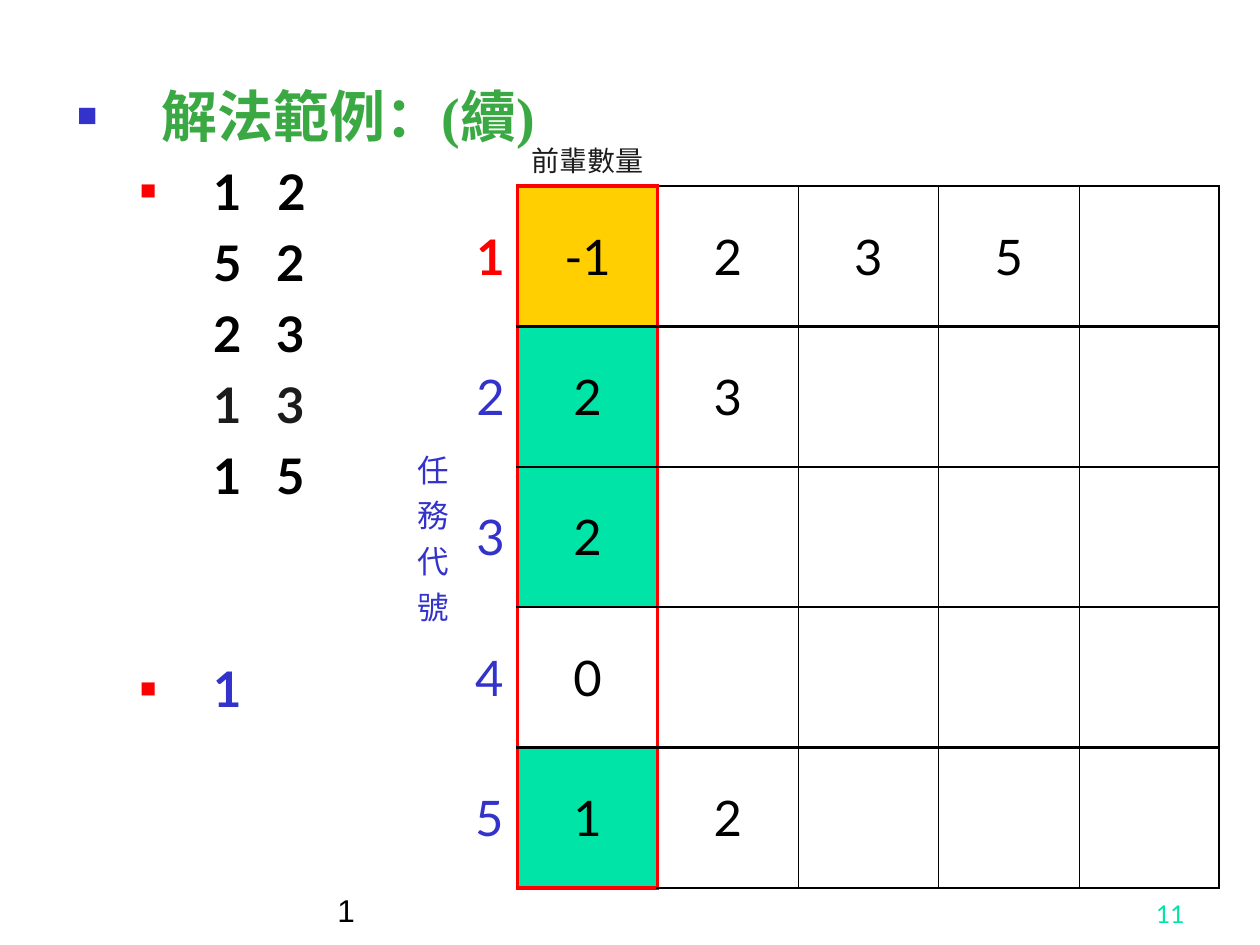
from lxml.etree import SubElement
from pptx import Presentation
from pptx.dml.color import RGBColor
from pptx.enum.text import MSO_ANCHOR, MSO_AUTO_SIZE, PP_ALIGN
from pptx.oxml.ns import qn
from pptx.util import Cm, Pt

BLACK = RGBColor(0x00, 0x00, 0x00)
DARK = RGBColor(0x1C, 0x1C, 0x1C)
BLUE = RGBColor(0x33, 0x33, 0xCC)
RED = RGBColor(0xFF, 0x00, 0x00)
GREEN = RGBColor(0x3B, 0xA9, 0x43)
MINT = RGBColor(0x00, 0xE4, 0xA8)
GOLD = RGBColor(0xFF, 0xCF, 0x01)

PLAIN = "{2D5ABB26-0587-4C30-8999-92F81FD0307C}"  # table style without grid
SIDE = 2.83
ROWS, COLS = 6, 7
PAIRS = ["1\t2", "5\t2", "2\t3", "1\t3", "1\t5"]
TASKS = [["-1", "2", "3", "5"], ["2", "3"], ["2"], ["0"], ["1", "2"]]
FILLS = [GOLD, MINT, MINT, None, MINT]


def style(para, size, color, face="Lato", bold=False):
    font = para.font
    font.name, font.size, font.bold = face, Pt(size), bold
    font.color.rgb = color


def indent(para, left, hang, bullet=None, size=0, tab=None):
    """Set the indents in cm, a square bullet of the given colour, and a tab stop."""
    props = para._p.get_or_add_pPr()
    props.set("marL", str(Cm(left)))
    props.set("indent", str(Cm(-hang if bullet else 0)))
    if bullet:
        color = SubElement(props, qn("a:buClr"))
        SubElement(color, qn("a:srgbClr"), val=str(bullet))
        SubElement(props, qn("a:buSzPct"), val=str(size * 1000))
        SubElement(props, qn("a:buChar"), char="■")
    else:
        SubElement(props, qn("a:buNone"))
    if tab:
        stops = SubElement(props, qn("a:tabLst"))
        SubElement(stops, qn("a:tab"), pos=str(Cm(tab)), algn="l")


def add_list(slide):
    body = slide.placeholders[1]
    body.left, body.top, body.width, body.height = Cm(1.3), Cm(1.52), Cm(22.81), Cm(16.21)
    frame = body.text_frame
    frame.auto_size = MSO_AUTO_SIZE.NONE
    head = frame.paragraphs[0]
    head.text = "解法範例：(續)"
    indent(head, 1.7, 1.7, BLUE, 60)
    head.space_before = Pt(0)
    style(head, 32, GREEN, "Times New Roman", True)

    for i, text in enumerate(PAIRS + ["1"]):
        last = i == len(PAIRS)
        para = frame.add_paragraph()
        para.text, para.level = text, 1
        indent(para, 2.74, 1.47, RED if i == 0 or last else None, 55, 4.04)
        para.space_before = Pt(88 if last else 7)
        style(para, 28, BLUE if last else DARK if i == 3 else BLACK, bold=True)


def write(cell, text, size, color, align=PP_ALIGN.CENTER, bold=False):
    para = cell.text_frame.paragraphs[0]
    para.text, para.alignment = text, align
    style(para, size, color, bold=bold)


def edge(cell, side, color, width):
    line = SubElement(cell._tc.get_or_add_tcPr(), qn("a:ln" + side), w=str(Pt(width)))
    fill = SubElement(line, qn("a:solidFill"))
    SubElement(fill, qn("a:srgbClr"), val=str(color))


def rule_across(row, col):
    """Give colour and width of the level line above the row."""
    if row in (1, ROWS):
        return (RED, 2.21) if col == 2 else (BLACK, 1.08)
    return BLACK, 1.47


def rule_down(col):
    """Give colour and width of the upright line left of the column."""
    if col in (2, 3):
        return RED, 2.21
    return BLACK, 1.08 if col == COLS else 0.45


def frame_cell(cell, row, col):
    if row > 0 and col > 0:
        if col > 1:
            edge(cell, "L", *rule_down(col))
        edge(cell, "R", *rule_down(col + 1))
    if col > 1:
        if row > 0:
            edge(cell, "T", *rule_across(row, col))
        edge(cell, "B", *rule_across(row + 1, col))


def add_grid(slide):
    shape = slide.shapes.add_table(ROWS, COLS, Cm(8.1), Cm(0.92), Cm(16.48), Cm(ROWS * SIDE))
    table = shape.table
    table.first_row = table.horz_banding = False
    table._tbl.tblPr.find(qn("a:tableStyleId")).text = PLAIN
    for col, width in enumerate([1.2, 1.13] + [SIDE] * 5):
        table.columns[col].width = Cm(width)
    for row in range(ROWS):
        table.rows[row].height = Cm(SIDE)
        for col in range(COLS):
            cell = table.cell(row, col)
            frame_cell(cell, row, col)
            cell.vertical_anchor = MSO_ANCHOR.MIDDLE if row else MSO_ANCHOR.BOTTOM
            cell.fill.background()
    table.cell(0, 4).merge(table.cell(0, 6))
    table.cell(1, 0).merge(table.cell(5, 0))

    write(table.cell(0, 2), "前輩數量", 16, DARK)
    write(table.cell(1, 0), "任務代號", 18, BLUE, PP_ALIGN.RIGHT)
    for row, (items, color) in enumerate(zip(TASKS, FILLS), 1):
        first = row == 1
        align = PP_ALIGN.RIGHT if row < 4 else PP_ALIGN.CENTER
        write(table.cell(row, 1), str(row), 28, RED if first else BLUE, align, first)
        for col, text in enumerate(items, 2):
            write(table.cell(row, col), text, 28, BLACK)
        if color:
            fill = table.cell(row, 2).fill
            fill.solid()
            fill.fore_color.rgb = color


def add_note(slide, text, left, width, size, color, face, align):
    box = slide.shapes.add_textbox(Cm(left), Cm(17.58), Cm(width), Cm(1.27))
    frame = box.text_frame
    frame.word_wrap = True
    frame.vertical_anchor = MSO_ANCHOR.BOTTOM
    para = frame.paragraphs[0]
    para.text, para.alignment = text, align
    style(para, size, color, face)


def main():
    deck = Presentation()
    deck.slide_width, deck.slide_height = Cm(25.4), Cm(19.05)
    slide = deck.slides.add_slide(deck.slide_layouts[1])
    title = slide.shapes.title._element
    title.getparent().remove(title)
    add_list(slide)
    add_grid(slide)
    add_note(slide, "1", 6.55, 13.77, 18, BLACK, "Arial", PP_ALIGN.LEFT)
    add_note(slide, "11", 18.85, 5.28, 14, MINT, "Lato", PP_ALIGN.RIGHT)
    deck.save("out.pptx")


if __name__ == "__main__":
    main()
